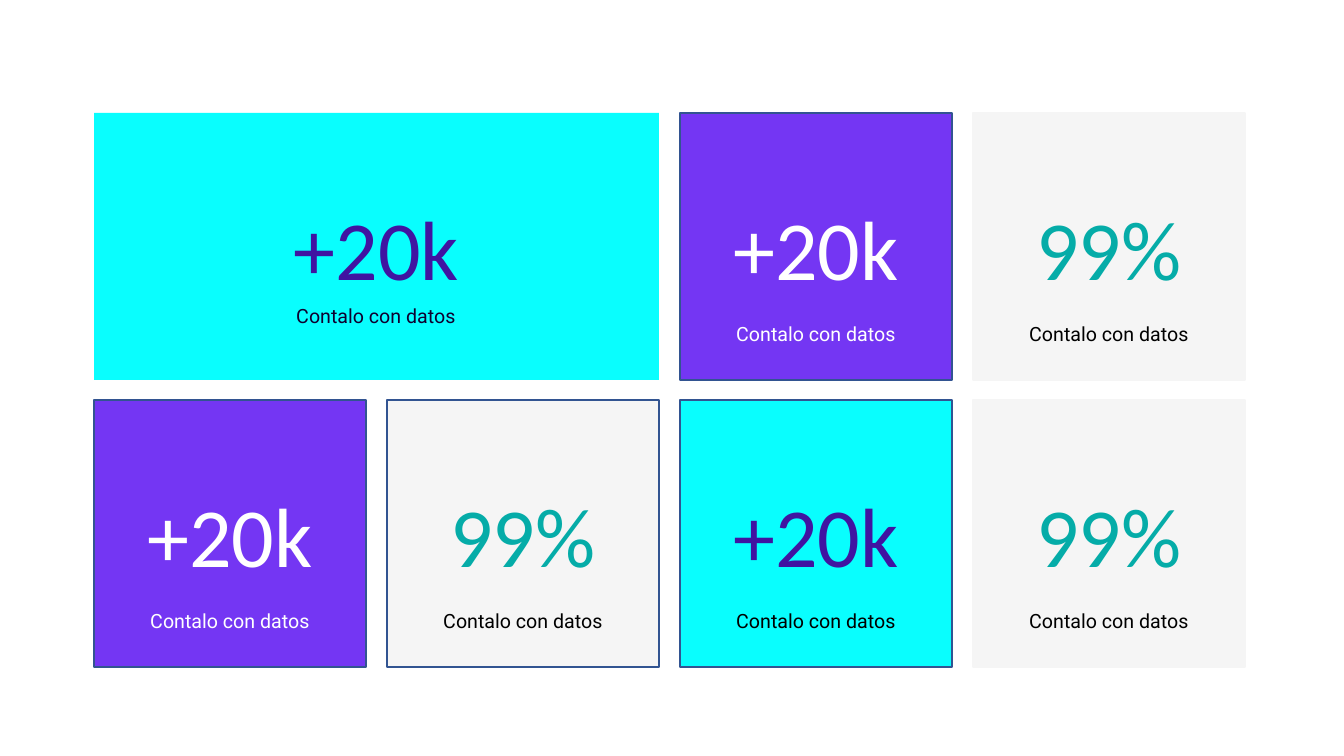
from pptx import Presentation
from pptx.dml.color import RGBColor
from pptx.enum.shapes import MSO_SHAPE
from pptx.enum.text import MSO_ANCHOR, PP_ALIGN
from pptx.util import Pt

PX = 914400 / 100.8
LEFT, TOP = 94, 113
CARD_WIDTH, CARD_HEIGHT = 272, 267
COLUMN_STEP, ROW_STEP = 293, 287
CAPTION_HEIGHT = 34

COLORS = {
    "cyan": "09FEFE",
    "violet": "7436F3",
    "gray": "F5F5F5",
    "border": "325491",
    "indigo": "4014A1",
    "teal": "05ACA8",
    "white": "FFFFFF",
    "black": "000000",
    "night": "0F002F",
}

CARDS = [
    (0, 0, 2, "+20k", "cyan", None, "indigo", "night", 186),
    (0, 2, 1, "+20k", "violet", "border", "white", "white", 204),
    (0, 3, 1, "99%", "gray", "gray", "teal", "black", 204),
    (1, 0, 1, "+20k", "violet", "border", "white", "white", 204),
    (1, 1, 1, "99%", "gray", "border", "teal", "black", 204),
    (1, 2, 1, "+20k", "cyan", "border", "indigo", "black", 204),
    (1, 3, 1, "99%", "gray", "gray", "teal", "black", 204),
]


def px(*lengths):
    return [round(length * PX) for length in lengths]


def write_text(shape, text, *, font, size, color, anchor=MSO_ANCHOR.TOP):
    frame = shape.text_frame
    frame.word_wrap = True
    frame.vertical_anchor = anchor
    paragraph = frame.paragraphs[0]
    paragraph.alignment = PP_ALIGN.CENTER
    run = paragraph.add_run()
    run.text = text
    run.font.name = font
    run.font.size = Pt(size)
    run.font.color.rgb = RGBColor.from_string(COLORS[color])


presentation = Presentation()
presentation.slide_width, presentation.slide_height = px(1344, 756)
slide = presentation.slides.add_slide(presentation.slide_layouts[6])

for row, column, span, figure, fill, line, figure_color, caption_color, drop in CARDS:
    left = LEFT + column * COLUMN_STEP
    top = TOP + row * ROW_STEP
    width = CARD_WIDTH + (span - 1) * COLUMN_STEP

    card = slide.shapes.add_shape(MSO_SHAPE.RECTANGLE, *px(left, top, width, CARD_HEIGHT))
    card.shadow.inherit = False
    card.fill.solid()
    card.fill.fore_color.rgb = RGBColor.from_string(COLORS[fill])
    if line:
        card.line.color.rgb = RGBColor.from_string(COLORS[line])
        card.line.width = Pt(1)
    else:
        card.line.fill.background()
    write_text(card, figure, font="Calibri", size=60, color=figure_color,
               anchor=MSO_ANCHOR.MIDDLE)

    caption_left = left + (width - CARD_WIDTH) // 2
    caption = slide.shapes.add_textbox(*px(caption_left, top + drop, CARD_WIDTH, CAPTION_HEIGHT))
    write_text(caption, "Contalo con datos", font="Roboto", size=14, color=caption_color)

presentation.save("out.pptx")
